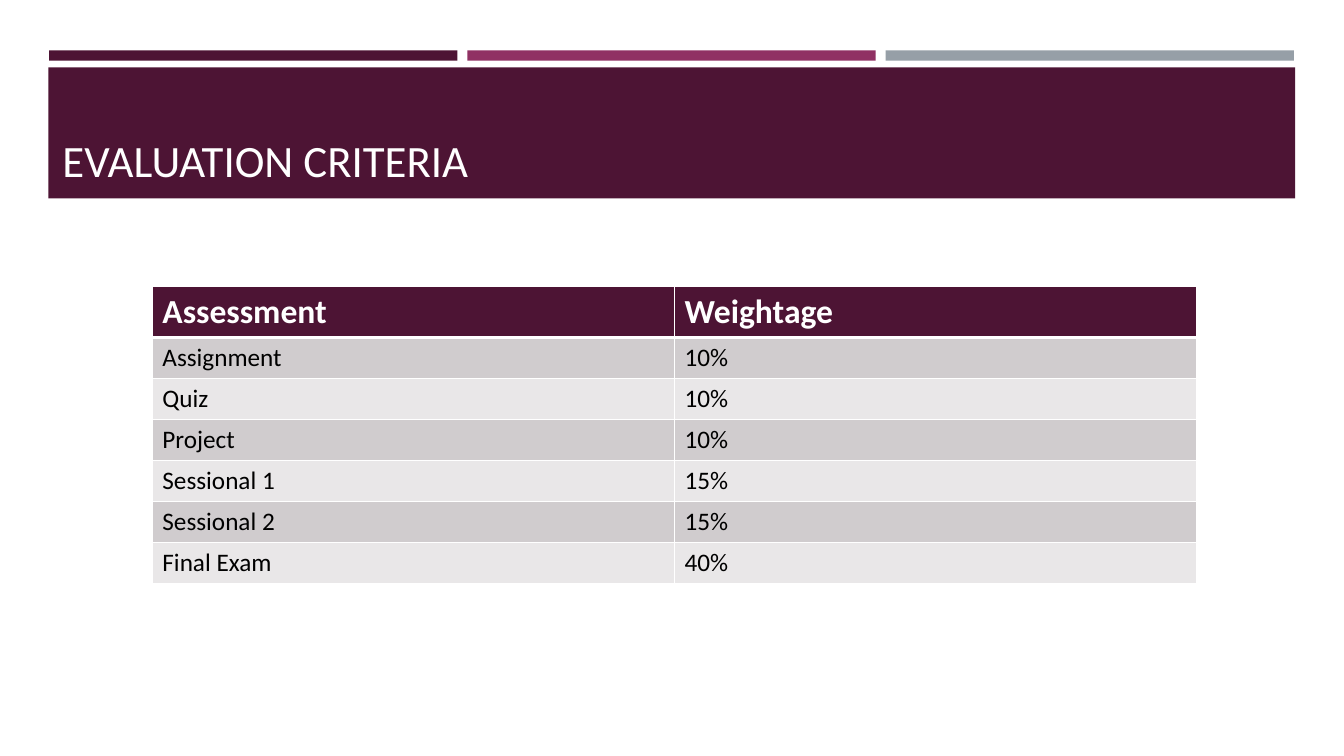
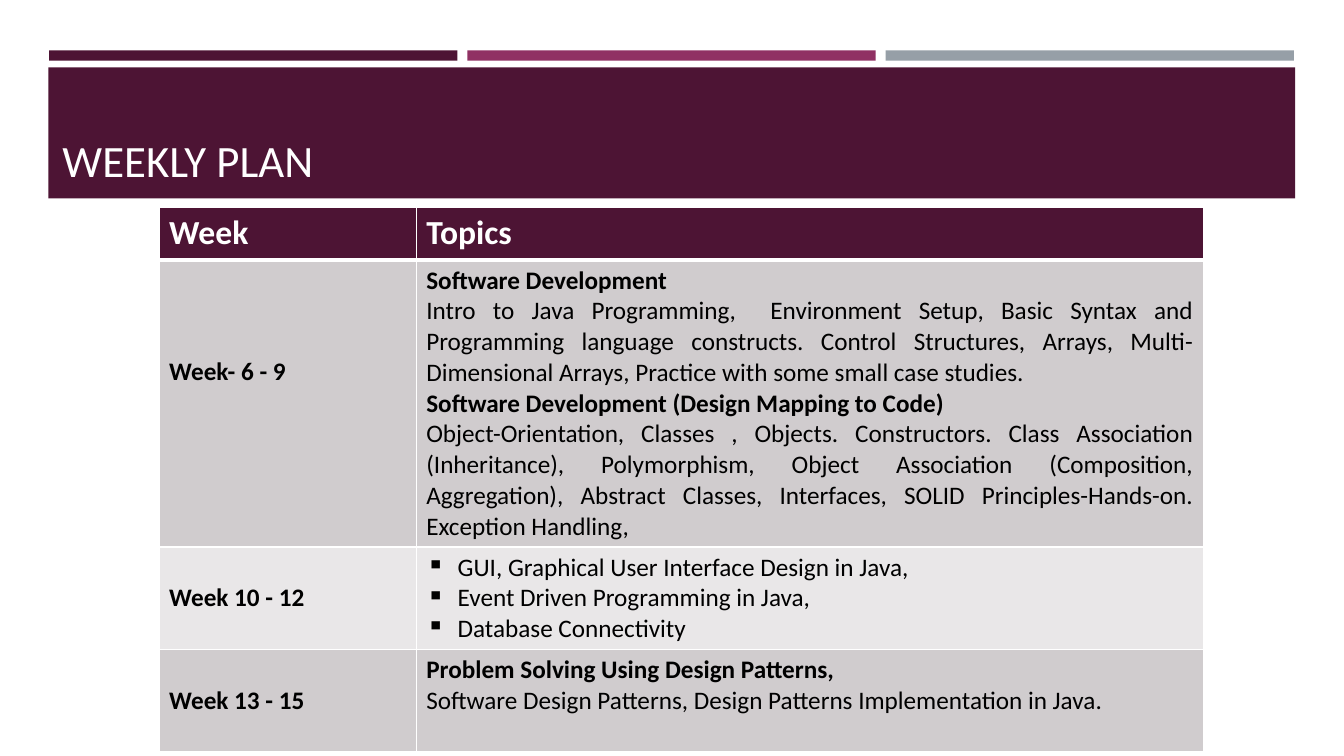
"""Builds two course slides: evaluation criteria and weekly plan."""
from lxml import etree
from pptx import Presentation
from pptx.dml.color import RGBColor
from pptx.enum.shapes import MSO_SHAPE
from pptx.enum.text import MSO_ANCHOR, MSO_AUTO_SIZE, PP_ALIGN
from pptx.oxml.ns import qn
from pptx.util import Cm, Pt

RECT = MSO_SHAPE.RECTANGLE
BOTTOM = MSO_ANCHOR.BOTTOM
FIXED = MSO_AUTO_SIZE.NONE
LEFT, JUST = PP_ALIGN.LEFT, PP_ALIGN.JUSTIFY
FONT = "Calibri"
HUES = {"plum": "4D1434", "rose": "903163", "slate": "969FA7",
        "dark": "D0CCCE", "light": "E9E7E8", "white": "FFFFFF", "black": "000000"}
LINE = 0.77
PAD = 0.13
HEAD = {"size": 24, "bold": True, "hue": "white"}
BOLD = {"bold": True}
FLOW = {"align": JUST}
TOPIC = {"bold": True, "align": JUST}
ITEM = {"align": JUST, "bullet": True}

GRADES = [("Assignment", "10%"), ("Quiz", "10%"), ("Project", "10%"),
          ("Sessional 1", "15%"), ("Sessional 2", "15%"), ("Final Exam", "40%")]
PLAN = [
    ("Week- 6 - 9", 3, [
        ("Software Development", TOPIC),
        ("Intro to Java Programming,  Environment Setup, Basic Syntax and "
         "Programming language constructs. Control Structures, Arrays, "
         "Multi-Dimensional Arrays, Practice with some small case studies.", FLOW),
        ("Software Development (Design Mapping to Code)", TOPIC),
        ("Object-Orientation, Classes , Objects. Constructors. Class Association "
         "(Inheritance), Polymorphism, Object Association (Composition, "
         "Aggregation), Abstract Classes, Interfaces, SOLID "
         "Principles-Hands-on. Exception Handling,", FLOW)]),
    ("Week 10 - 12", 1, [
        ("GUI, Graphical User Interface Design in Java,", ITEM),
        ("Event Driven Programming in Java,", ITEM),
        ("Database Connectivity", ITEM)]),
    ("Week 13 - 15", 1, [
        ("Problem Solving Using Design Patterns,", TOPIC),
        ("Software Design Patterns, Design Patterns Implementation in Java.", FLOW)]),
]


def color(name):
    """Return the named colour."""
    return RGBColor.from_string(HUES[name])


def write(para, text, size=18, bold=False, hue="black", align=LEFT, bullet=False):
    """Put formatted text in a paragraph."""
    para.alignment = align
    run = para.add_run()
    run.text = text
    run.font.name = FONT
    run.font.size = Pt(size)
    run.font.bold = bold
    run.font.color.rgb = color(hue)
    if bullet:
        props = para._p.get_or_add_pPr()
        props.set("marL", str(Cm(0.79)))
        props.set("indent", str(-Cm(0.79)))
        etree.SubElement(props, qn("a:buChar"), char="▪")


def band(slide, box, hue, num):
    """Draw a plain bar and move it to the layout of the slide."""
    bar = slide.shapes.add_shape(RECT, *map(Cm, box))
    bar.shadow.inherit = False
    bar.fill.solid()
    bar.fill.fore_color.rgb = color(hue)
    bar.line.fill.background()
    bar.name = f"Band {num}"
    bar.element.nvSpPr.cNvPr.set("id", str(20 + num))
    slide.slide_layout.shapes.element.insert(2 + num, bar.element)


def frame(slide):
    """Give the layout its bands and title place."""
    for num, hue in enumerate(("plum", "rose", "slate")):
        band(slide, (1.24 + num * 10.54, 1.27, 10.29, 0.26), hue, num)
    band(slide, (1.22, 1.7, 31.42, 3.3), "plum", 3)
    title = slide.slide_layout.placeholders[0]
    title.left, title.top, title.width, title.height = map(
        Cm, (1.32, 2.72, 30.63, 2.11))
    title.text_frame.vertical_anchor = BOTTOM
    title.text_frame.auto_size = FIXED


def head(slide, text):
    """Fill the title of a slide."""
    write(slide.shapes.title.text_frame.paragraphs[0], text, size=32, hue="white")


def edge(cell, row):
    """Draw white borders, thick under the header row."""
    props = cell._tc.get_or_add_tcPr()
    thick = {("lnB", 0), ("lnT", 1)}
    for side in ("lnL", "lnR", "lnT", "lnB"):
        width = Pt(3 if (side, row) in thick else 1)
        line = etree.SubElement(props, qn(f"a:{side}"), w=str(width))
        fill = etree.SubElement(line, qn("a:solidFill"))
        etree.SubElement(fill, qn("a:srgbClr"), val=HUES["white"])


def fill(cell, row, lines, skip=0):
    """Style a cell and write its lines, lowered by some line heights."""
    edge(cell, row)
    cell.fill.solid()
    hue = "plum" if row == 0 else ("light", "dark")[row % 2]
    cell.fill.fore_color.rgb = color(hue)
    cell.margin_top = Cm(PAD + skip * LINE)
    for num, (text, style) in enumerate(lines):
        body = cell.text_frame
        para = body.add_paragraph() if num else body.paragraphs[0]
        write(para, text, **style)


def grid(slide, spot, cols, rows, cells):
    """Add a table; each cell is a tuple of lines and skipped lines."""
    size = (sum(cols), sum(rows))
    table = slide.shapes.add_table(
        len(rows), len(cols), *map(Cm, spot + size)).table
    for col, width in zip(table.columns, cols):
        col.width = Cm(width)
    for row, height in zip(table.rows, rows):
        row.height = Cm(height)
    for row, items in enumerate(cells):
        for col, (lines, skip) in enumerate(items):
            fill(table.cell(row, col), row, lines, skip)


def line(text, style, skip=0):
    """Return a cell that holds one line."""
    return [(text, style)], skip


def main():
    """Build and save the deck."""
    deck = Presentation()
    deck.slide_width, deck.slide_height = Cm(33.87), Cm(19.05)
    layout = deck.slide_layouts[5]
    marks = deck.slides.add_slide(layout)
    frame(marks)
    head(marks, "EVALUATION CRITERIA")
    cells = [[line(text, HEAD) for text in ("Assessment", "Weightage")]]
    cells += [[line(text, {}) for text in pair] for pair in GRADES]
    grid(marks, (3.84, 7.21), (13.16, 13.16), (1.25,) + (1.03,) * len(GRADES), cells)

    weeks = deck.slides.add_slide(layout)
    head(weeks, "WEEKLY PLAN")
    cells = [[line(text, HEAD) for text in ("Week", "Topics")]]
    cells += [[line(week, BOLD, skip), (topics, 0)] for week, skip, topics in PLAN]
    grid(weeks, (4.01, 5.23), (6.48, 19.84), (1.32, 7.2, 2.58, 2.57), cells)
    deck.save("out.pptx")


if __name__ == "__main__":
    main()
